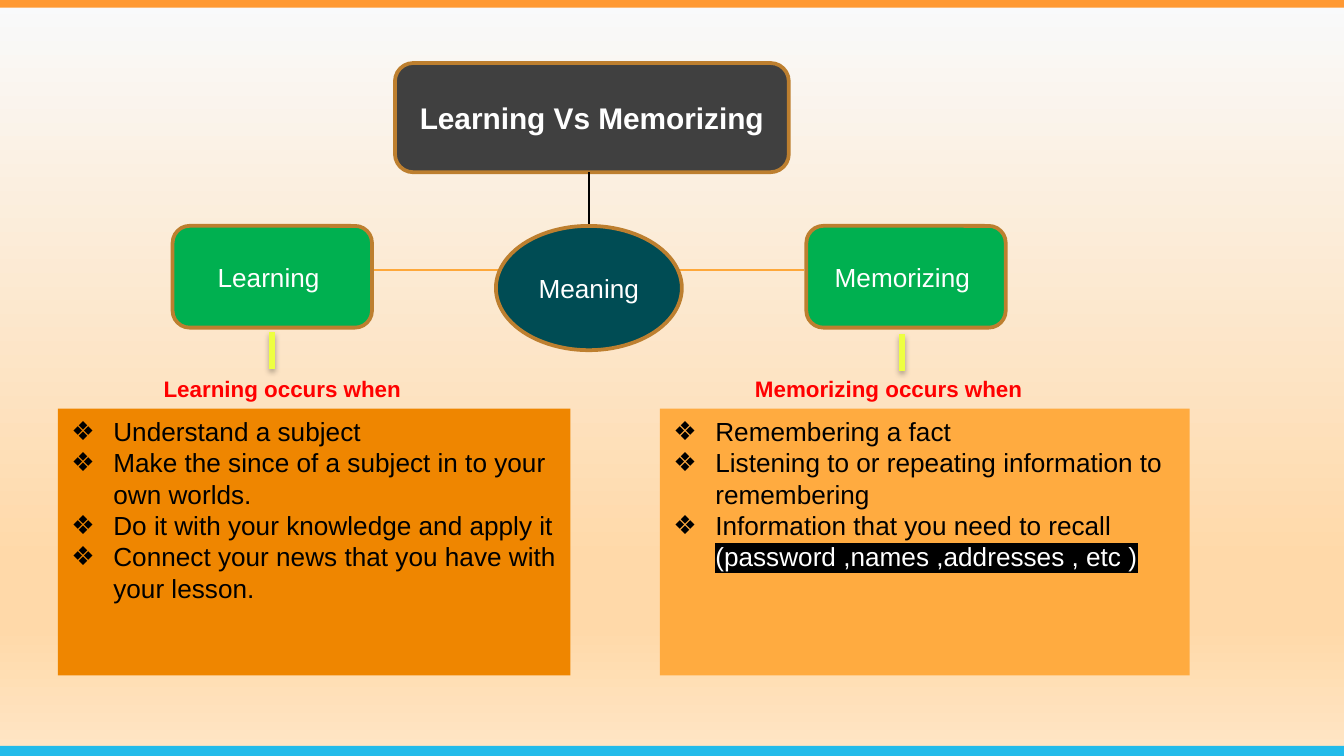
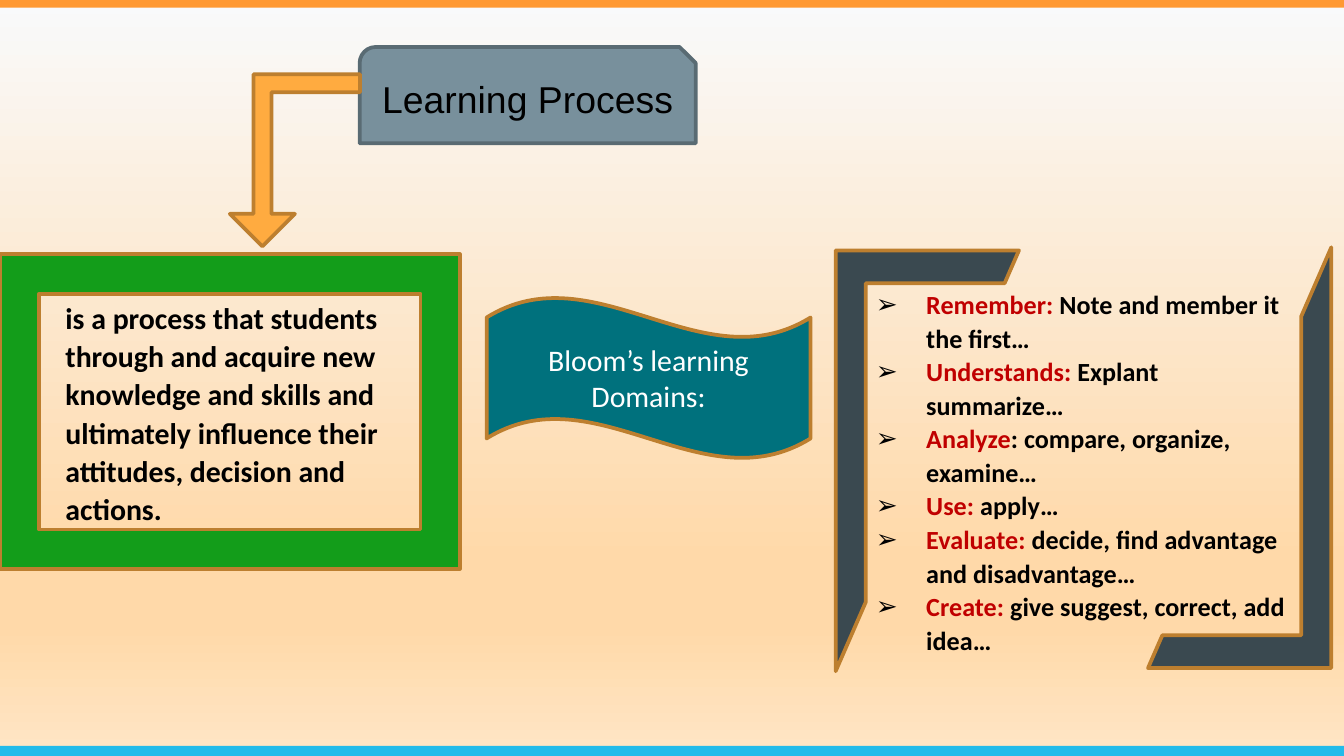
"""Build two slides on learning, memorizing and the learning process."""
from dataclasses import dataclass

from lxml import etree
from pptx import Presentation
from pptx.dml.color import RGBColor
from pptx.enum.shapes import MSO_CONNECTOR, MSO_SHAPE
from pptx.enum.text import MSO_ANCHOR, MSO_AUTO_SIZE, PP_ALIGN
from pptx.oxml.ns import qn
from pptx.util import Pt

RECT = MSO_SHAPE.RECTANGLE
ROUND = MSO_SHAPE.ROUNDED_RECTANGLE
SNIP = MSO_SHAPE.SNIP_ROUND_RECTANGLE
OVAL = MSO_SHAPE.OVAL
FRAME = MSO_SHAPE.FRAME
HALF_FRAME = MSO_SHAPE.HALF_FRAME
WAVE = MSO_SHAPE.WAVE
BENT_ARROW = MSO_SHAPE.BENT_UP_ARROW
STRAIGHT = MSO_CONNECTOR.STRAIGHT
TOP, MIDDLE = MSO_ANCHOR.TOP, MSO_ANCHOR.MIDDLE
LEFT, CENTER = PP_ALIGN.LEFT, PP_ALIGN.CENTER
NO_FIT = MSO_AUTO_SIZE.NONE

WIDTH, HEIGHT = 720, 405
BLACK, WHITE, RED, CRIMSON = "000000", "FFFFFF", "FF0000", "C00000"
BROWN, ORANGE, AMBER, YELLOW = "BD7F2F", "FFAB40", "FEA83A", "EEFF41"
GREEN, SLATE = "00B050", "3A4950"
BACKGROUND = [(0, "F9FAFB"), (74, "FFD9A9"), (83, "FFD9A9"), (100, "FFE6C6")]


@dataclass
class Box:
    """A frame in points."""
    x: float
    y: float
    w: float
    h: float


@dataclass
class Run:
    """A piece of text with its own colours."""
    text: str
    color: str = BLACK
    highlight: str = ""


@dataclass
class Side:
    """One branch of the comparison."""
    name: str
    node: Box
    tick_x: float
    tick_y: float
    heading_x: float
    panel: Box
    fill: str
    items: list[list[Run]]


def rgb(value: str) -> RGBColor:
    """Turn a hex string into a colour."""
    return RGBColor.from_string(value)


def add_color(parent, value: str):
    """Append an XML colour element."""
    return etree.SubElement(parent, qn("a:srgbClr"), val=value)


def place(sp, box: Box) -> None:
    """Move and size a shape."""
    sp.left, sp.top = Pt(box.x), Pt(box.y)
    sp.width, sp.height = Pt(box.w), Pt(box.h)


def add_bullet(p, char: str, indent: float) -> None:
    """Give a paragraph a hanging bullet."""
    pPr = p._p.get_or_add_pPr()
    pPr.set("marL", str(Pt(indent)))
    pPr.set("indent", str(-Pt(indent)))
    add_color(etree.SubElement(pPr, qn("a:buClr")), BLACK)
    etree.SubElement(pPr, qn("a:buFont"), typeface="Arial")
    etree.SubElement(pPr, qn("a:buChar"), char=char)


def write(sp, paragraphs: list[list[Run]], *, size: float, font: str = "Arial",
          bold: bool = False, align=LEFT, anchor=TOP, spacing: float = 1,
          bullet: str = "", indent: float = 0) -> None:
    """Fill a shape with formatted paragraphs."""
    tf = sp.text_frame
    tf.word_wrap, tf.auto_size, tf.vertical_anchor = True, NO_FIT, anchor
    for i, runs in enumerate(paragraphs):
        p = tf.add_paragraph() if i else tf.paragraphs[0]
        p.alignment, p.line_spacing = align, spacing
        p.space_before = p.space_after = Pt(0)
        if bullet:
            add_bullet(p, bullet, indent)
        for run in runs:
            r = p.add_run()
            r.text = run.text
            r.font.size, r.font.name, r.font.bold = Pt(size), font, bold
            r.font.color.rgb = rgb(run.color)
            if run.highlight:
                mark = etree.Element(qn("a:highlight"))
                add_color(mark, run.highlight)
                r._r.rPr.find(qn("a:solidFill")).addnext(mark)


def add_shape(slide, kind, box: Box, fill: str, line: str = "",
              rotation: float = 0, adj: tuple[float, ...] = ()):
    """Draw a filled preset shape."""
    sp = slide.shapes.add_shape(kind, Pt(box.x), Pt(box.y), Pt(box.w), Pt(box.h))
    sp.shadow.inherit = False
    sp.fill.solid()
    sp.fill.fore_color.rgb = rgb(fill)
    if line:
        sp.line.color.rgb = rgb(line)
        sp.line.width = Pt(2)
    else:
        sp.line.fill.background()
    sp.rotation = rotation
    for i, value in enumerate(adj):
        sp.adjustments[i] = value
    return sp


def add_label(slide, box: Box, text: str, **style) -> None:
    """Place a text box in one colour."""
    sp = slide.shapes.add_textbox(Pt(box.x), Pt(box.y), Pt(box.w), Pt(box.h))
    color = style.pop("color", BLACK)
    write(sp, [[Run(text, color)]], **style)


def add_line(slide, x1: float, y1: float, x2: float, y2: float, color: str,
             width: float = 0.75, shadow: bool = False) -> None:
    """Draw a straight line, with a soft shadow if asked."""
    line = slide.shapes.add_connector(STRAIGHT, Pt(x1), Pt(y1), Pt(x2), Pt(y2))
    line.line.color.rgb = rgb(color)
    line.line.width = Pt(width)
    effects = etree.SubElement(line._element.spPr, qn("a:effectLst"))
    if shadow:
        outer = etree.SubElement(effects, qn("a:outerShdw"), blurRad=str(Pt(3.1)),
                                 dist=str(Pt(1.8)), dir="5400000", rotWithShape="0")
        etree.SubElement(add_color(outer, BLACK), qn("a:alpha"), val="35000")


def set_title(slide, box: Box, text: str, color: str, size: float,
              bold: bool = False) -> None:
    """Lay the title placeholder over its box."""
    sp = slide.shapes.title
    place(sp, box)
    write(sp, [[Run(text, color)]], size=size, bold=bold, align=CENTER, anchor=MIDDLE)
    slide.shapes._spTree.append(sp._element)


def set_master(prs, slide) -> None:
    """Give the master its gradient and its two bands."""
    master = prs.slide_master
    fill = master.background.fill
    fill.gradient()
    fill.gradient_angle = 270
    stops = next(master._element.iter(qn("a:gsLst")))
    for stop in list(stops):
        stops.remove(stop)
    for position, color in BACKGROUND:
        add_color(etree.SubElement(stops, qn("a:gs"), pos=str(position * 1000)), color)
    for box, color in ((Box(0, 399.6, WIDTH, 6.2), "22BBEA"),
                       (Box(0, 0, WIDTH, 4.2), "FF9933")):
        band = add_shape(slide, RECT, box, color)
        master.shapes._spTree.append(band._element)


def add_side(slide, side: Side, body) -> None:
    """Draw one branch: node, tick, heading and list."""
    node = add_shape(slide, ROUND, side.node, GREEN, BROWN)
    write(node, [[Run(side.name + " ", WHITE)]], size=14, align=CENTER, anchor=MIDDLE)
    add_line(slide, side.tick_x, side.tick_y, side.tick_x, side.tick_y + 19.6,
             YELLOW, 3, shadow=True)
    add_label(slide, Box(side.heading_x, 197.3, 191, 21.8), side.name + " occurs when",
              size=12, bold=True, color=RED)
    place(body, side.panel)
    body.fill.solid()
    body.fill.fore_color.rgb = rgb(side.fill)
    write(body, side.items, size=14, bullet="❖", indent=22.5)


SIDES = [
    Side("Learning", Box(92.5, 121, 106.8, 54.5), 145.7, 178, 80.6,
         Box(31, 218.9, 274.6, 143), "EF8600",
         [[Run("Understand a subject ")],
          [Run("Make the since of a subject in to your own worlds.")],
          [Run("Do it with your knowledge and apply it")],
          [Run("Connect your news that you have with your lesson.")]]),
    Side("Memorizing", Box(432, 121, 106.8, 54.5), 483.2, 179, 397.4,
         Box(353.5, 218.9, 283.8, 143), ORANGE,
         [[Run("Remembering a fact")],
          [Run("Listening to or repeating information to remembering")],
          [Run("Information that you need to recall "),
           Run("(password ,names ,addresses , etc )", WHITE, BLACK)]]),
]

DOMAINS = [
    ("Remember: ", "Note and member it the first…"),
    ("Understands: ", "Explant summarize…"),
    ("Analyze", ": compare, organize, examine…"),
    ("Use: ", "apply…"),
    ("Evaluate: ", "decide, find advantage and disadvantage…"),
    ("Create: ", "give suggest, correct, add idea…"),
]


def build_comparison(slide) -> None:
    """Draw the learning and memorizing diagram."""
    box = Box(211.6, 33.8, 211, 58.5)
    add_shape(slide, ROUND, box, "404040", BROWN)
    set_title(slide, box, "Learning Vs Memorizing", WHITE, 16, bold=True)
    add_line(slide, 315.5, 92.3, 315.5, 140.4, BLACK)
    add_line(slide, 199.5, 144.7, 314, 144.7, AMBER)
    add_line(slide, 315.5, 144.7, 430.5, 144.7, AMBER)
    for side, index in zip(SIDES, (1, 2)):
        add_side(slide, side, slide.placeholders[index])
    hub = add_shape(slide, OVAL, Box(265.7, 121, 99.6, 66.6), "004C54", BROWN)
    write(hub, [[Run("Meaning", WHITE)]], size=14, align=CENTER, anchor=MIDDLE)


def build_process(slide) -> None:
    """Draw the learning process and its domains."""
    add_shape(slide, SNIP, Box(192.7, 25.2, 180, 51.6), "78909C", "596B73")
    set_title(slide, Box(192.7, 27.2, 180, 51.6), "Learning Process", BLACK, 20)
    add_shape(slide, BENT_ARROW, Box(123.1, 39.8, 69.8, 92.2), ORANGE, BROWN,
              rotation=180, adj=(0.138, 0.25, 0.25))
    add_shape(slide, FRAME, Box(0, 136.3, 246.3, 168.5), "139D1A", BROWN)
    add_label(slide, Box(28, 155.5, 191, 131),
              "is a process that students through and acquire new knowledge and skills "
              "and ultimately influence their attitudes, decision and actions.",
              size=16, font="Calibri", bold=True, spacing=1.07)
    wave = add_shape(slide, WAVE, Box(260.7, 159.3, 173.5, 86.4), "00717D", BROWN)
    write(wave, [[Run("Bloom’s learning Domains:", WHITE)]], size=16, font="Calibri",
          align=CENTER, anchor=MIDDLE)
    for x, y, rotation in ((447.7, 134.2, 0), (615, 132.5, 180)):
        add_shape(slide, HALF_FRAME, Box(x, y, 98.2, 225.4), SLATE, BROWN,
                  rotation=rotation, adj=(0.179, 0.164))
    body = slide.placeholders[1]
    place(body, Box(462, 149.8, 237.6, 236.9))
    write(body, [[Run(name, CRIMSON), Run(rest)] for name, rest in DOMAINS], size=14,
          font="Calibri", bold=True, spacing=1.07, bullet="➢", indent=27)
    slide.shapes._spTree.append(body._element)


def main() -> None:
    """Build and save the presentation."""
    prs = Presentation()
    prs.slide_width, prs.slide_height = Pt(WIDTH), Pt(HEIGHT)
    comparison = prs.slides.add_slide(prs.slide_layouts[3])
    set_master(prs, comparison)
    build_comparison(comparison)
    build_process(prs.slides.add_slide(prs.slide_layouts[1]))
    prs.save("out.pptx")


main()
